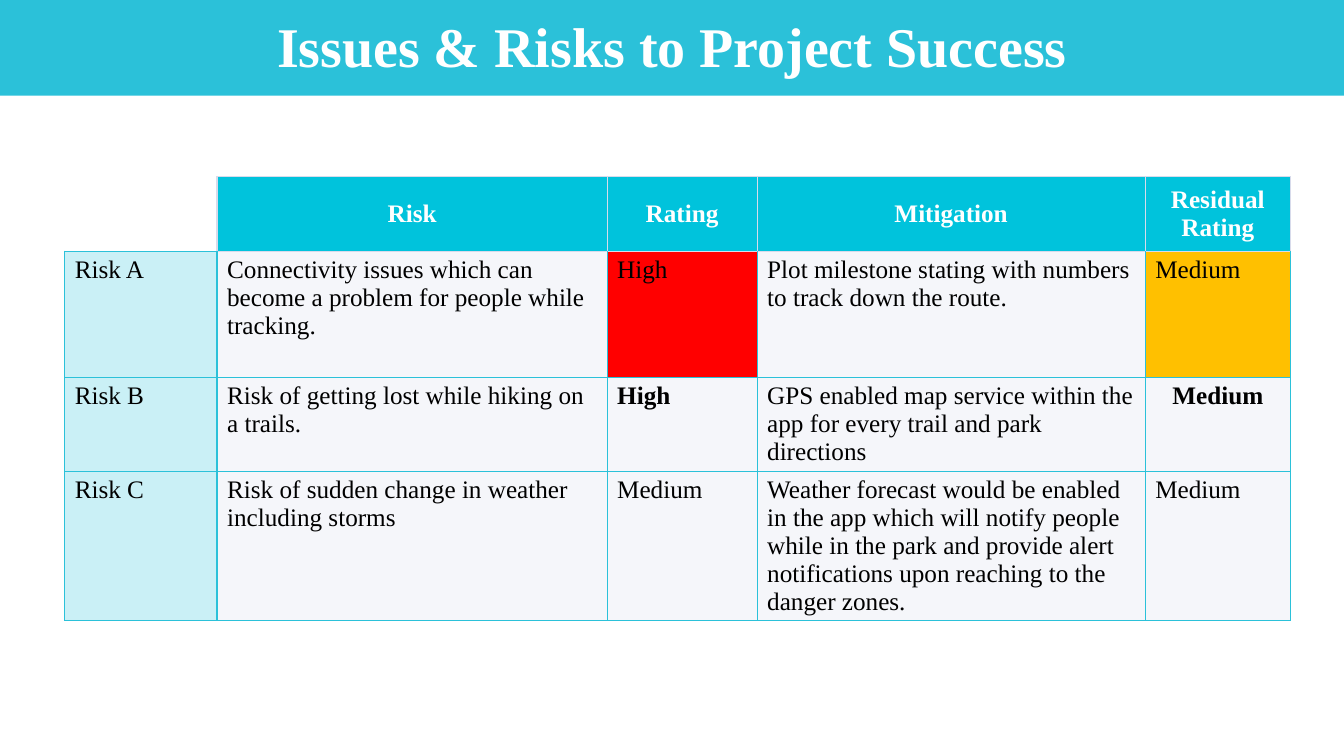
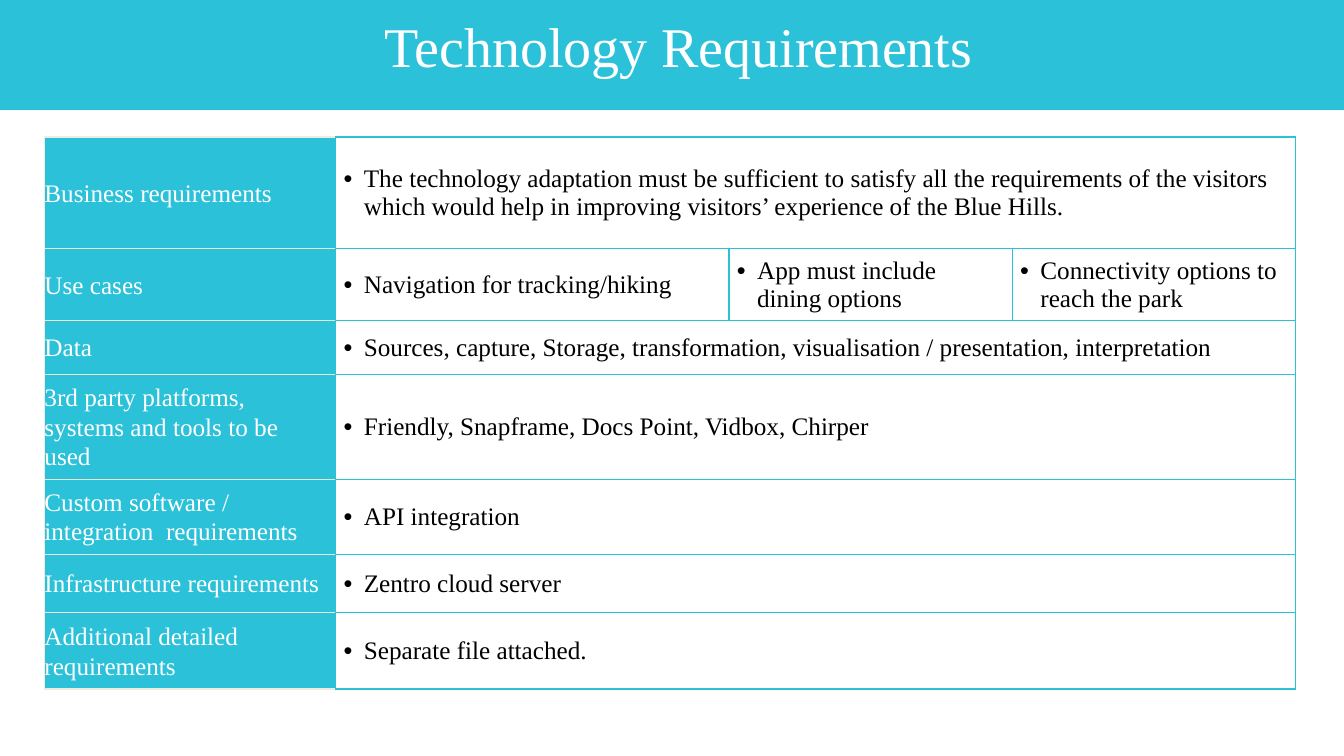
from dataclasses import dataclass, field
from typing import Optional

from lxml import etree
from pptx import Presentation
from pptx import util as u
from pptx.dml import color as dml
from pptx.enum import shapes, text
from pptx.oxml import ns

# Shared colours and type
TEAL = dml.RGBColor(0x2B, 0xC1, 0xD9)
HEAD = dml.RGBColor(0x00, 0xC3, 0xDC)
PALE_TEAL = dml.RGBColor(0xCA, 0xF0, 0xF6)
PALE_GREY = dml.RGBColor(0xF5, 0xF6, 0xFA)
RULE = dml.RGBColor(0xD8, 0xDB, 0xEB)
CREAM = dml.RGBColor(0xEE, 0xEC, 0xE1)
RED = dml.RGBColor(0xFF, 0x00, 0x00)
AMBER = dml.RGBColor(0xFF, 0xC0, 0x00)
WHITE = dml.RGBColor(0xFF, 0xFF, 0xFF)
BLACK = dml.RGBColor(0x00, 0x00, 0x00)
FONT = "Times New Roman"
TOP, MIDDLE = text.MSO_ANCHOR.TOP, text.MSO_ANCHOR.MIDDLE
LEFT, CENTER = text.PP_ALIGN.LEFT, text.PP_ALIGN.CENTER
SLIDE_W, SLIDE_H = u.Cm(33.87), u.Cm(19.05)
SIDES = "LRTB"
BULLET_INDENT = u.Cm(0.51)


@dataclass(frozen=True)
class CellStyle:
    fill: Optional[dml.RGBColor]
    color: dml.RGBColor = BLACK
    bold: bool = False
    align: text.PP_ALIGN = LEFT
    anchor: text.MSO_ANCHOR = TOP
    borders: dict = field(default_factory=lambda: dict.fromkeys(SIDES, TEAL))
    margins: dict = field(default_factory=dict)
    line_spacing: Optional[float] = None
    bullet: bool = False


@dataclass(frozen=True)
class Item:
    text: str
    style: CellStyle


@dataclass(frozen=True)
class Grid:
    left: float
    top: float
    cols: list
    rows: list
    cells: list


def set_all(obj, values: dict) -> None:
    for name, value in values.items():
        setattr(obj, name, value)


def write(tf, content: str, size: float, color: dml.RGBColor,
          bold: bool, align: text.PP_ALIGN):
    p = tf.paragraphs[0]
    p.alignment = align
    r = p.add_run()
    r.text = content
    set_all(r.font, {"name": FONT, "size": u.Pt(size), "bold": bold})
    r.font.color.rgb = color
    return p


def add_title(s, content: str, height: float, bold: bool) -> None:
    sp = s.shapes.add_shape(shapes.MSO_SHAPE.RECTANGLE, 0, 0, SLIDE_W, u.Cm(height))
    sp.shadow.inherit = False
    sp.fill.solid()
    sp.fill.fore_color.rgb = TEAL
    sp.line.fill.background()
    tf = sp.text_frame
    set_all(tf, {"word_wrap": True, "vertical_anchor": TOP, "margin_top": u.Cm(0.28)})
    write(tf, content, 40, WHITE, bold, CENTER)


def add_borders(cell, borders: dict) -> None:
    tc_pr = cell._tc.get_or_add_tcPr()
    for i, side in enumerate(SIDES):
        ln = etree.Element(ns.qn(f"a:ln{side}"), w=str(u.Pt(1)))
        if side in borders:
            fill = etree.SubElement(ln, ns.qn("a:solidFill"))
            etree.SubElement(fill, ns.qn("a:srgbClr"), val=str(borders[side]))
        else:
            etree.SubElement(ln, ns.qn("a:noFill"))
        tc_pr.insert(i, ln)


def add_bullet(p) -> None:
    p_pr = p._p.get_or_add_pPr()
    p_pr.set("marL", str(BULLET_INDENT))
    p_pr.set("indent", str(-BULLET_INDENT))
    etree.SubElement(p_pr, ns.qn("a:buFont"), typeface="Arial")
    etree.SubElement(p_pr, ns.qn("a:buChar"), char="•")


def style_cell(cell, style: CellStyle) -> None:
    if style.fill is None:
        cell.fill.background()
    else:
        cell.fill.solid()
        cell.fill.fore_color.rgb = style.fill
    set_all(cell, {"vertical_anchor": style.anchor, **style.margins})
    add_borders(cell, style.borders)


def fill_cell(cell, item: Item) -> None:
    style = item.style
    if not item.text:
        return
    p = write(cell.text_frame, item.text, 18, style.color, style.bold, style.align)
    if style.line_spacing:
        p.line_spacing = style.line_spacing
    if style.bullet:
        add_bullet(p)


def add_grid(s, grid: Grid) -> None:
    """A row with fewer items than columns stretches its last item."""
    n_cols = len(grid.cols)
    table = s.shapes.add_table(
        len(grid.rows), n_cols, u.Cm(grid.left), u.Cm(grid.top),
        u.Cm(sum(grid.cols)), u.Cm(sum(grid.rows))).table
    set_all(table, {"first_row": False, "horz_banding": False})
    for col, width in zip(table.columns, grid.cols):
        col.width = u.Cm(width)
    for row, height in zip(table.rows, grid.rows):
        row.height = u.Cm(height)
    for i, items in enumerate(grid.cells):
        for j in range(n_cols):
            style_cell(table.cell(i, j), items[min(j, len(items) - 1)].style)
        for j, item in enumerate(items):
            fill_cell(table.cell(i, j), item)
        if len(items) < n_cols:
            table.cell(i, len(items) - 1).merge(table.cell(i, n_cols - 1))


# Risk table styles
CORNER = CellStyle(None, borders={"R": RULE, "B": TEAL})
COLUMN_HEAD = CellStyle(HEAD, WHITE, True, CENTER, MIDDLE, dict.fromkeys(SIDES, RULE))
RISK_NAME = CellStyle(PALE_TEAL)
PLAIN = CellStyle(PALE_GREY)
STRONG = CellStyle(PALE_GREY, bold=True)
STRONG_CENTER = CellStyle(PALE_GREY, bold=True, align=CENTER)
UNDER_HEAD = {**dict.fromkeys(SIDES, TEAL), "T": RULE}
FIRST_PLAIN, FIRST_HIGH, FIRST_MEDIUM = (
    CellStyle(fill, borders=UNDER_HEAD) for fill in (PALE_GREY, RED, AMBER))

# Requirement table styles
PADDING = dict.fromkeys(
    ("margin_left", "margin_top", "margin_right", "margin_bottom"), u.Cm(0.2))
LABEL = CellStyle(TEAL, WHITE, anchor=MIDDLE, line_spacing=1.06,
                  borders={"L": CREAM, "T": CREAM, "R": TEAL, "B": CREAM},
                  margins={**PADDING, "margin_left": 0})
DETAIL = CellStyle(WHITE, anchor=MIDDLE, margins=PADDING, bullet=True)

RISK_ROWS = [
    (("", CORNER), ("Risk", COLUMN_HEAD), ("Rating", COLUMN_HEAD),
     ("Mitigation", COLUMN_HEAD), ("Residual Rating", COLUMN_HEAD)),
    (("Risk A", RISK_NAME),
     ("Connectivity issues which can become a problem for people while tracking.",
      FIRST_PLAIN),
     ("High", FIRST_HIGH),
     ("Plot milestone stating with numbers to track down the route.", FIRST_PLAIN),
     ("Medium", FIRST_MEDIUM)),
    (("Risk B", RISK_NAME),
     ("Risk of getting lost while hiking on a trails.", PLAIN),
     ("High", STRONG),
     ("GPS enabled map service within the app for every trail and park directions",
      PLAIN),
     ("Medium", STRONG_CENTER)),
    (("Risk C", RISK_NAME),
     ("Risk of sudden change in weather including storms", PLAIN),
     ("Medium", PLAIN),
     ("Weather forecast would be enabled in the app which will notify people while "
      "in the park and provide alert notifications upon reaching to the danger zones.",
      PLAIN),
     ("Medium", PLAIN)),
]

REQUIREMENTS = [
    ("Business requirements",
     "The technology adaptation must be sufficient to satisfy all the requirements of "
     "the visitors which would help in improving visitors’ experience of the Blue Hills."),
    ("Use cases", "Navigation for tracking/hiking", "App must include dining options",
     "Connectivity options to reach the park"),
    ("Data", "Sources, capture, Storage, transformation, visualisation / presentation, "
     "interpretation"),
    ("3rd party platforms, systems and tools to be used",
     "Friendly, Snapframe, Docs Point, Vidbox, Chirper"),
    ("Custom software / integration  requirements", "API integration"),
    ("Infrastructure requirements", "Zentro cloud server"),
    ("Additional detailed requirements", "Separate file attached."),
]


def main() -> None:
    prs = Presentation()
    set_all(prs, {"slide_width": SLIDE_W, "slide_height": SLIDE_H})
    blank = prs.slide_layouts[6]

    # Risks
    s = prs.slides.add_slide(blank)
    add_title(s, "Issues & Risks to Project Success", 2.41, True)
    add_grid(s, Grid(1.63, 4.45, [3.84, 9.83, 3.78, 9.78, 3.66],
                     [1.88, 3.18, 2.36, 3.76],
                     [[Item(*cell) for cell in row] for row in RISK_ROWS]))

    # Technology requirements
    s = prs.slides.add_slide(blank)
    add_title(s, " Technology Requirements", 2.77, False)
    add_grid(s, Grid(1.12, 3.45, [7.34, 9.91, 7.14, 7.14],
                     [2.82, 1.79, 1.36, 2.62, 1.89, 1.48, 1.92],
                     [[Item(label, LABEL), *(Item(d, DETAIL) for d in details)]
                      for label, *details in REQUIREMENTS]))

    prs.save("out.pptx")


if __name__ == "__main__":
    main()
